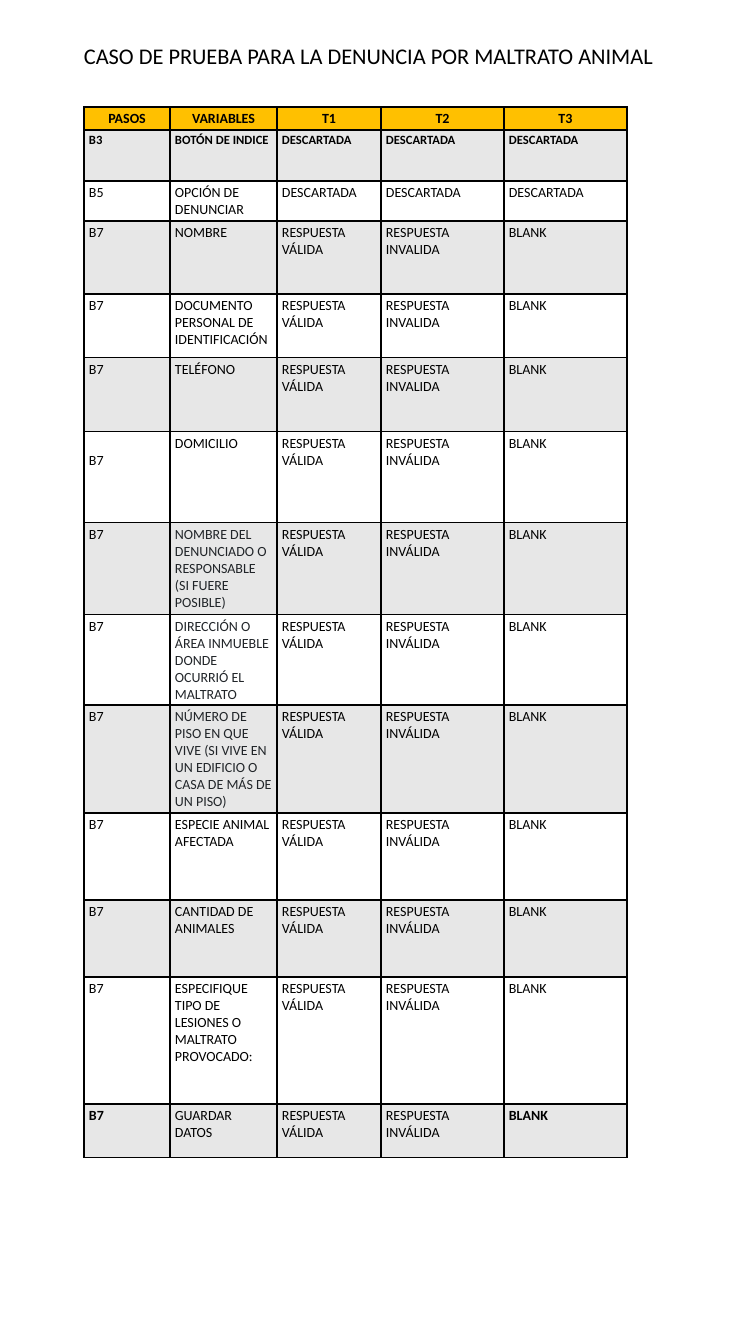
from lxml.etree import SubElement
from pptx import Presentation
from pptx.dml.color import RGBColor
from pptx.enum.text import PP_ALIGN
from pptx.oxml.ns import qn
from pptx.util import Pt

SCALE = 914400 / 100.8


def px(pixels):
    return round(pixels * SCALE)


def format_run(run, size, color="000000", bold=False):
    for name, value in {"name": "Calibri", "size": Pt(size), "bold": bold}.items():
        setattr(run.font, name, value)
    run.font.color.rgb = RGBColor.from_string(color)


presentation = Presentation()
presentation.slide_width = px(756)
presentation.slide_height = px(1344)
slide = presentation.slides.add_slide(presentation.slide_layouts[6])

title = slide.shapes.add_textbox(px(74), px(37), px(597), px(37))
title.text_frame.word_wrap = False
title_run = title.text_frame.paragraphs[0].add_run()
title_run.text = "CASO DE PRUEBA PARA LA DENUNCIA POR MALTRATO ANIMAL"
format_run(title_run, 16)

discarded = ["DESCARTADA"] * 3
unaccented = ["RESPUESTA VÁLIDA", "RESPUESTA INVALIDA", "BLANK"]
accented = ["RESPUESTA VÁLIDA", "RESPUESTA INVÁLIDA", "BLANK"]
rows = [
    (23, "PASOS", "VARIABLES", ["T1", "T2", "T3"]),
    (51, "B3", "BOTÓN DE INDICE", discarded),
    (40, "B5", "OPCIÓN DE DENUNCIAR", discarded),
    (73, "B7", "NOMBRE", unaccented),
    (64, "B7", "DOCUMENTO PERSONAL DE IDENTIFICACIÓN", unaccented),
    (74, "B7", "TELÉFONO", unaccented),
    (91, "B7", "DOMICILIO", accented),
    (92, "B7", "NOMBRE DEL DENUNCIADO O RESPONSABLE (SI FUERE POSIBLE)", accented),
    (90, "B7", "DIRECCIÓN O ÁREA INMUEBLE DONDE OCURRIÓ EL MALTRATO", accented),
    (108, "B7", "NÚMERO DE PISO EN QUE VIVE (SI VIVE EN UN EDIFICIO O CASA DE MÁS DE UN PISO)", accented),
    (87, "B7", "ESPECIE ANIMAL AFECTADA", accented),
    (77, "B7", "CANTIDAD DE ANIMALES", accented),
    (127, "B7", "ESPECIFIQUE TIPO DE LESIONES O MALTRATO PROVOCADO:", accented),
    (54, "B7", "GUARDAR DATOS", accented),
]
column_widths = [86, 107, 104, 123, 123]
last_row = len(rows) - 1
gray_variables = [(7, 1), (8, 1), (9, 1)]
bold_cells = [(last_row, 0), (last_row, 4)]
margins = {"margin_left": 5, "margin_right": 5, "margin_top": 3, "margin_bottom": 3}

table = slide.shapes.add_table(
    len(rows), len(column_widths), px(84), px(107),
    px(sum(column_widths)), px(sum(row[0] for row in rows)),
).table
for column, width in zip(table.columns, column_widths):
    column.width = px(width)

for row_index, (height, step, variable, results) in enumerate(rows):
    table.rows[row_index].height = px(height)
    if row_index == 0:
        fill = "FFC000"
    else:
        fill = "E7E7E7" if row_index % 2 else "FFFFFF"
    for column_index, text in enumerate([step, variable, *results]):
        position = (row_index, column_index)
        cell = table.cell(*position)
        for name, value in margins.items():
            setattr(cell, name, px(value))
        if position == (6, 0):
            cell.margin_top = px(20)
        properties = cell._tc.get_or_add_tcPr()
        for side in ("a:lnL", "a:lnR", "a:lnT", "a:lnB"):
            border = SubElement(properties, qn(side), w=str(Pt(1)))
            SubElement(SubElement(border, qn("a:solidFill")), qn("a:srgbClr"), val="000000")
        cell.fill.solid()
        cell.fill.fore_color.rgb = RGBColor.from_string(fill)
        paragraph = cell.text_frame.paragraphs[0]
        paragraph.alignment = PP_ALIGN.LEFT if row_index else PP_ALIGN.CENTER
        run = paragraph.add_run()
        run.text = text
        format_run(
            run,
            9 if row_index == 1 else 10,
            "212529" if position in gray_variables else "000000",
            row_index < 2 or position in bold_cells,
        )

presentation.save("out.pptx")
